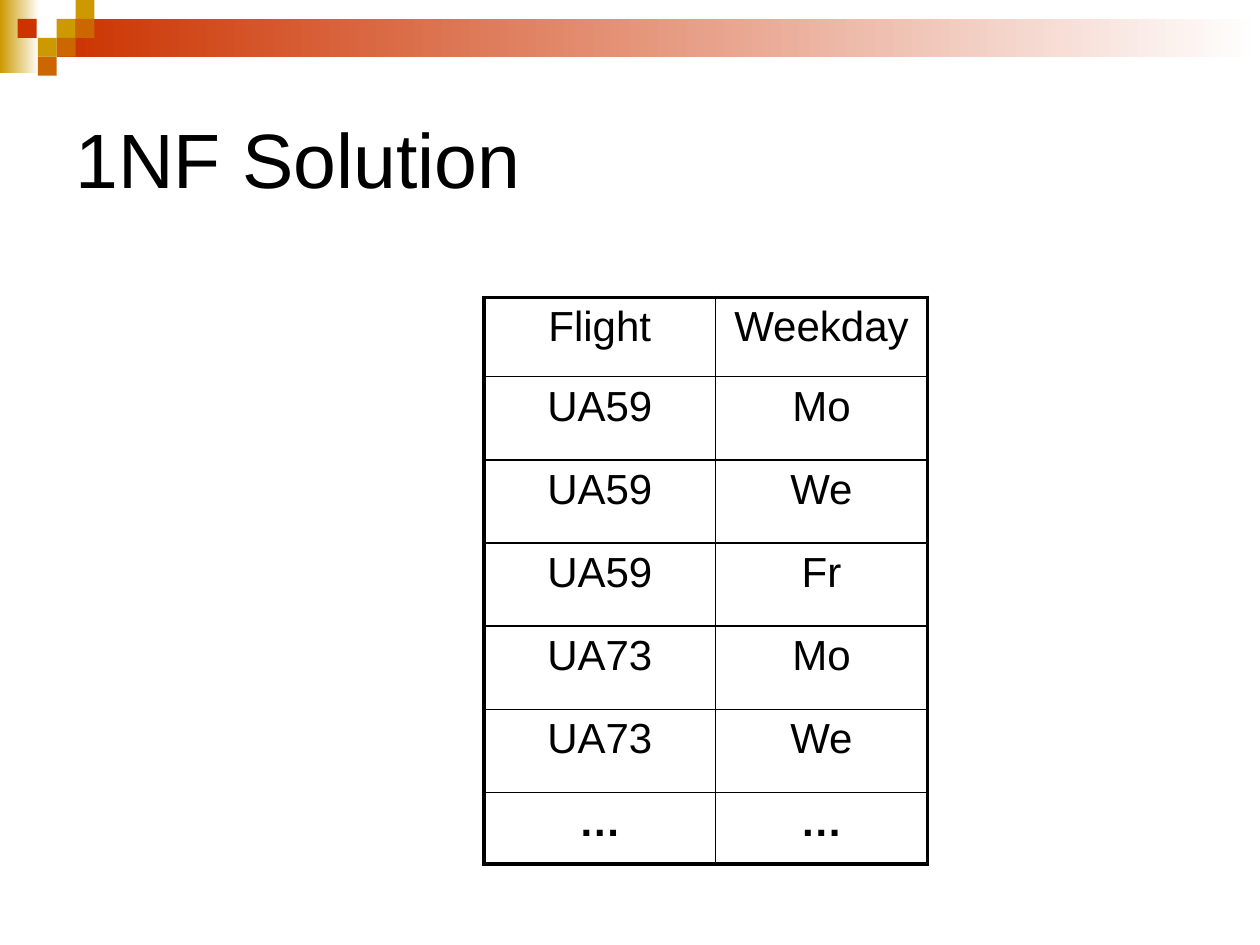
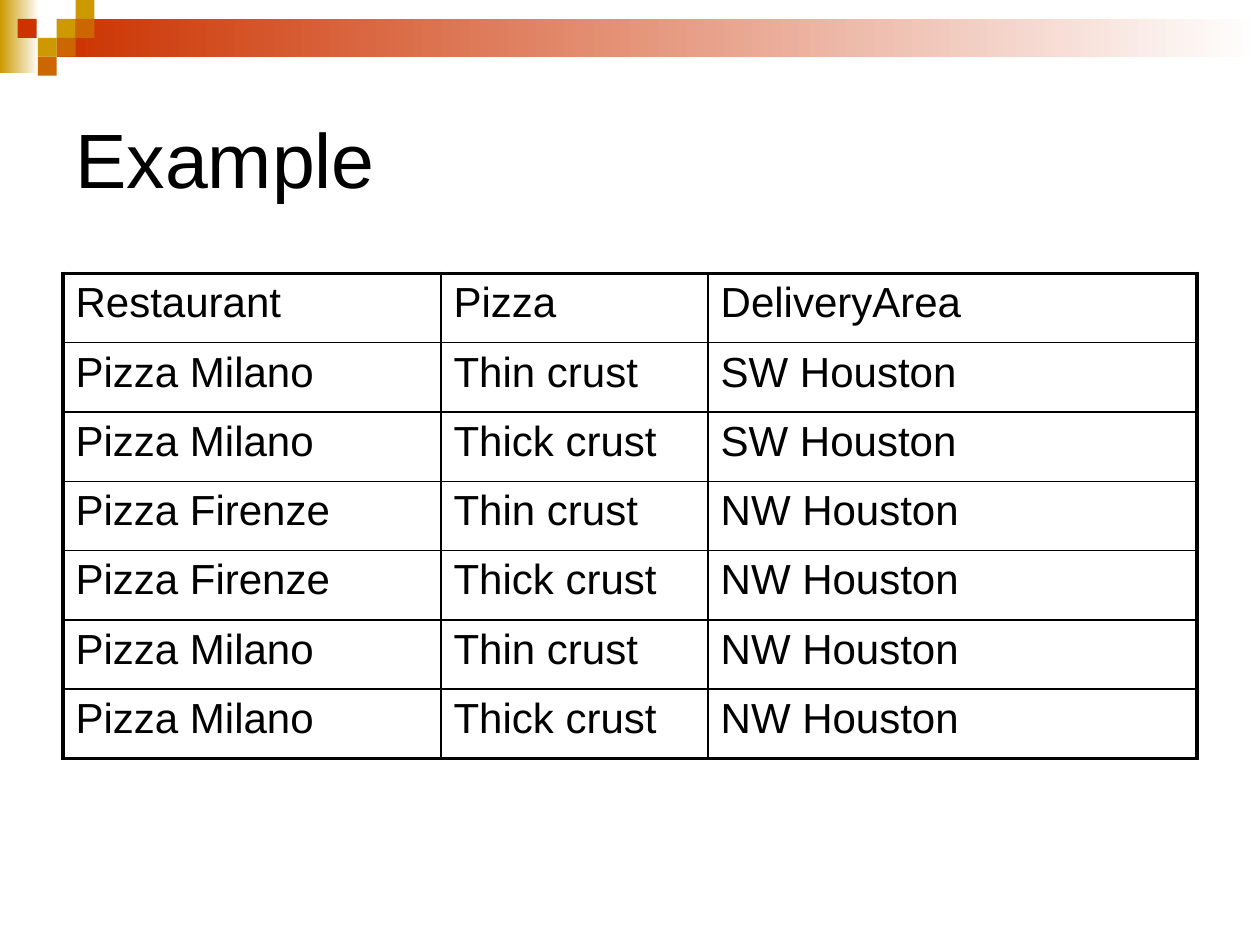
from dataclasses import dataclass
from typing import NamedTuple

from lxml import etree
from pptx import Presentation
from pptx.dml.color import RGBColor
from pptx.enum.shapes import MSO_SHAPE
from pptx.enum.text import MSO_ANCHOR, PP_ALIGN
from pptx.oxml.ns import qn
from pptx.slide import Slide
from pptx.table import _Cell
from pptx.util import Emu, Pt

RECTANGLE = MSO_SHAPE.RECTANGLE
MIDDLE = MSO_ANCHOR.MIDDLE
LEFT = PP_ALIGN.LEFT
CENTER = PP_ALIGN.CENTER

EMU_PER_PX = 9144
SLIDE_WIDTH, SLIDE_HEIGHT = 1000, 750
BLANK_LAYOUT = 6
FONT = "Arial"
TITLE_SIZE, CELL_SIZE = 44, 24
OUTER_LINE, INNER_LINE = 2.25, 1
BLACK, WHITE = "000000", "FFFFFF"
GOLD, ORANGE, RED = "CC9900", "CC6600", "CC3300"
TILE = 15


class Block(NamedTuple):
    """A borderless rectangle that may fade from its colour to white."""
    left: int
    top: int
    width: int
    height: int
    color: str
    fades: bool = False


def tile(left: int, top: int, color: str) -> Block:
    """Return one square of the corner mosaic."""
    return Block(left, top, TILE, TILE, color)


CORNER_BAND = [
    Block(0, 0, 31, 58, GOLD, True),
    Block(3 * TILE, TILE, SLIDE_WIDTH - 3 * TILE, 2 * TILE, RED, True),
    tile(3 * TILE, TILE, GOLD),
    tile(4 * TILE, 0, GOLD),
    tile(4 * TILE, TILE, ORANGE),
    tile(2 * TILE, 2 * TILE, GOLD),
    tile(14, TILE, RED),
    tile(3 * TILE, 2 * TILE, ORANGE),
    tile(2 * TILE, 3 * TILE, ORANGE),
]


@dataclass
class TableSlide:
    """A titled slide holding one bordered table."""
    title: str
    left: int
    top: int
    column_widths: list[int]
    row_heights: list[int]
    rows: list[tuple[str, ...]]
    alignment: PP_ALIGN = LEFT


TABLE_SLIDES = [
    TableSlide(
        "1NF Solution", 384, 236, [184, 168], [63] + [66] * 5 + [57],
        [
            ("Flight", "Weekday"),
            ("UA59", "Mo"),
            ("UA59", "We"),
            ("UA59", "Fr"),
            ("UA73", "Mo"),
            ("UA73", "We"),
            ("…", "…"),
        ],
        CENTER,
    ),
    TableSlide(
        "Example", 50, 217, [300, 212, 388], [55] * 7,
        [
            ("Restaurant", "Pizza", "DeliveryArea"),
            ("Pizza Milano", "Thin crust", "SW Houston"),
            ("Pizza Milano", "Thick crust", "SW Houston"),
            ("Pizza Firenze", "Thin crust", "NW Houston"),
            ("Pizza Firenze", "Thick crust", "NW Houston"),
            ("Pizza Milano", "Thin crust", "NW Houston"),
            ("Pizza Milano", "Thick crust", "NW Houston"),
        ],
    ),
]


def px(length: int) -> Emu:
    """Convert pixels to EMU."""
    return Emu(length * EMU_PER_PX)


def rgb(color: str) -> RGBColor:
    """Convert a hex string to a colour."""
    return RGBColor.from_string(color)


def style_paragraph(paragraph, size: int, alignment: PP_ALIGN = LEFT, bold: bool = False) -> None:
    """Set the alignment and font of a paragraph."""
    paragraph.alignment = alignment
    paragraph.font.name = FONT
    paragraph.font.size = Pt(size)
    paragraph.font.bold = bold
    paragraph.font.color.rgb = rgb(BLACK)


def draw_block(slide: Slide, block: Block) -> None:
    """Draw one solid or fading rectangle."""
    shape = slide.shapes.add_shape(
        RECTANGLE, px(block.left), px(block.top), px(block.width), px(block.height)
    )
    shape.shadow.inherit = False
    shape.line.fill.background()
    if block.fades:
        shape.fill.gradient()
        shape.fill.gradient_angle = 0
        for stop, color in zip(shape.fill.gradient_stops, (block.color, WHITE)):
            stop.color.rgb = rgb(color)
    else:
        shape.fill.solid()
        shape.fill.fore_color.rgb = rgb(block.color)


def draw_title(slide: Slide, text: str) -> None:
    """Draw the slide title."""
    frame = slide.shapes.add_textbox(px(50), px(50), px(900), px(150)).text_frame
    frame.word_wrap = True
    frame.vertical_anchor = MIDDLE
    frame.text = text
    style_paragraph(frame.paragraphs[0], TITLE_SIZE)


def set_borders(cell: _Cell, outer_edges: dict[str, bool]) -> None:
    """Draw the cell borders, heavier along the outer edges of the table."""
    properties = cell._tc.get_or_add_tcPr()
    for edge, is_outer in outer_edges.items():
        width = Pt(OUTER_LINE if is_outer else INNER_LINE)
        line = etree.SubElement(properties, qn(f"a:ln{edge}"), w=str(width))
        fill = etree.SubElement(line, qn("a:solidFill"))
        etree.SubElement(fill, qn("a:srgbClr"), val=BLACK)


def draw_table(slide: Slide, content: TableSlide) -> None:
    """Draw the bordered table of a slide."""
    widths, heights = content.column_widths, content.row_heights
    table = slide.shapes.add_table(
        len(heights), len(widths), px(content.left), px(content.top),
        px(sum(widths)), px(sum(heights)),
    ).table
    table.first_row = False
    table.horz_banding = False
    for column, width in zip(table.columns, widths):
        column.width = px(width)
    for row, height in zip(table.rows, heights):
        row.height = px(height)
    for row_index, values in enumerate(content.rows):
        for column_index, value in enumerate(values):
            cell = table.cell(row_index, column_index)
            cell.text = value
            style_paragraph(
                cell.text_frame.paragraphs[0], CELL_SIZE, content.alignment, value == "…"
            )
            set_borders(cell, {
                "L": column_index == 0,
                "R": column_index == len(widths) - 1,
                "T": row_index == 0,
                "B": row_index == len(heights) - 1,
            })
            cell.fill.background()


def main() -> None:
    """Build and save the presentation."""
    presentation = Presentation()
    presentation.slide_width = px(SLIDE_WIDTH)
    presentation.slide_height = px(SLIDE_HEIGHT)
    for content in TABLE_SLIDES:
        slide = presentation.slides.add_slide(presentation.slide_layouts[BLANK_LAYOUT])
        for block in CORNER_BAND:
            draw_block(slide, block)
        draw_title(slide, content.title)
        draw_table(slide, content)
    presentation.save("out.pptx")


if __name__ == "__main__":
    main()
